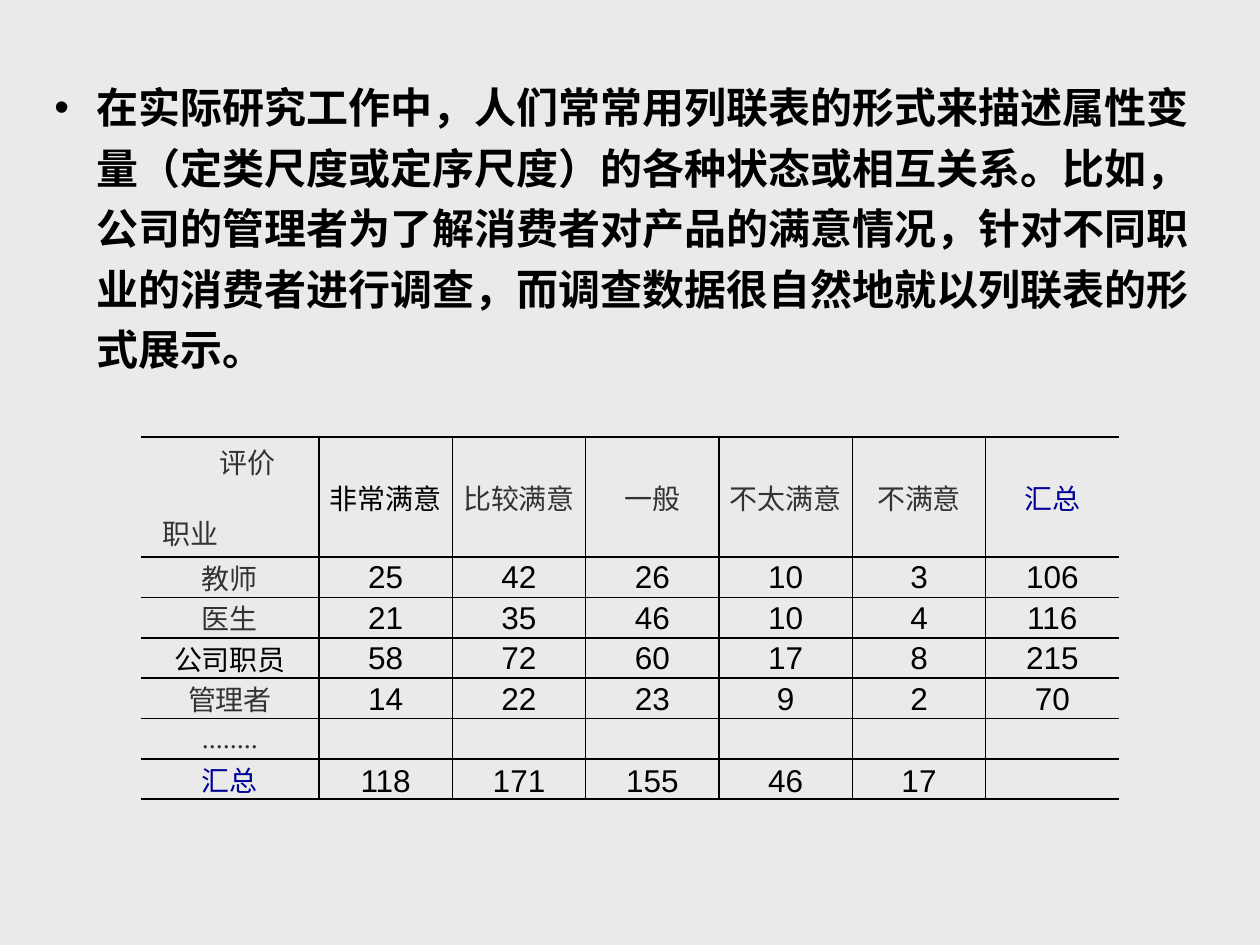
import pptx
import pptx.dml.color
import pptx.enum.text
import pptx.oxml
import pptx.oxml.ns
import pptx.util
from pptx.util import Cm, Pt

BACKGROUND = pptx.dml.color.RGBColor(0xEA, 0xEA, 0xEA)
BLACK = pptx.dml.color.RGBColor(0, 0, 0)
GRAY = pptx.dml.color.RGBColor(0x33, 0x33, 0x33)
BLUE = pptx.dml.color.RGBColor(0, 0, 0x99)

CHINESE_FONT = "Noto Sans CJK SC"
LABEL = {"name": "Times New Roman", "size": Pt(16), "bold": False}
TOTAL = {"name": CHINESE_FONT, "size": Pt(16), "bold": False}
NUMBER = {"name": "Arial", "size": Pt(18), "bold": False}
BODY = {"name": "Times New Roman", "size": Pt(24), "bold": True}

INTRODUCTION = (
    "在实际研究工作中，人们常常用列联表的形式来描述属性变量（定类尺度或定序尺度）"
    "的各种状态或相互关系。比如，公司的管理者为了解消费者对产品的满意情况，"
    "针对不同职业的消费者进行调查，而调查数据很自然地就以列联表的形式展示。"
)
CORNER = ("评价", "职业")
RATINGS = ("非常满意", "比较满意", "一般", "不太满意", "不满意", "汇总")
COUNTS = (
    ("教师", 25, 42, 26, 10, 3, 106),
    ("医生", 21, 35, 46, 10, 4, 116),
    ("公司职员", 58, 72, 60, 17, 8, 215),
    ("管理者", 14, 22, 23, 9, 2, 70),
    ("........", "", "", "", "", "", ""),
    ("汇总", 118, 171, 155, 46, 17, ""),
)
BLACK_LABELS = ("非常满意", "公司职员")


def set_attributes(target, values):
    """Set every attribute named in a dict of format values."""
    for name, value in values.items():
        setattr(target, name, value)


def write_text(paragraph, text, font, color):
    """Add one formatted run to a paragraph."""
    set_attributes(paragraph.font, font)
    if text == "":
        return
    run = paragraph.add_run()
    run.text = str(text)
    set_attributes(run.font, font)
    run.font.color.rgb = color
    properties = run._r.get_or_add_rPr()
    east_asian = properties.makeelement(
        pptx.oxml.ns.qn("a:ea"), {"typeface": CHINESE_FONT})
    properties.append(east_asian)


def set_indent(paragraph, left, first_line=0):
    """Set the left margin and first-line indent of a paragraph."""
    properties = paragraph._p.get_or_add_pPr()
    properties.set("marL", str(int(left)))
    properties.set("indent", str(int(first_line)))


def set_borders(cell, widths):
    """Draw black cell borders, with a width of zero for none."""
    properties = cell._tc.get_or_add_tcPr()
    namespace = pptx.oxml.ns.nsdecls("a")
    for position, (side, width) in enumerate(widths.items()):
        paint = (f'<a:solidFill><a:srgbClr val="{BLACK}"/></a:solidFill>'
                 if width else "<a:noFill/>")
        line = pptx.oxml.parse_xml(
            f'<a:ln{side} {namespace} w="{int(Pt(width))}">{paint}</a:ln{side}>')
        properties.insert(position, line)


def add_introduction(slide, left, top, width, height):
    """Place the bulleted introduction in the body placeholder."""
    body = slide.placeholders[1]
    set_attributes(body, {"left": left, "top": top,
                          "width": width, "height": height})
    frame = body.text_frame
    set_attributes(frame, {"word_wrap": True,
                           "auto_size": pptx.enum.text.MSO_AUTO_SIZE.NONE})
    paragraph = frame.paragraphs[0]
    set_indent(paragraph, Cm(0.86), -Cm(0.86))
    set_attributes(paragraph, {"line_spacing": 1.2, "space_before": Pt(0)})
    write_text(paragraph, INTRODUCTION, BODY, BLACK)


def fill_corner(cell):
    """Write the column and row captions in the corner cell."""
    rating, occupation = cell.text_frame.paragraphs[0], cell.text_frame.add_paragraph()
    set_indent(rating, Cm(1.41))
    set_indent(occupation, Cm(0.26))
    occupation.space_before = Pt(17.5)
    for paragraph, caption in zip((rating, occupation), CORNER):
        write_text(paragraph, caption, LABEL, GRAY)


def fill_cell(cell, value, is_label):
    """Write a centred label or count."""
    paragraph = cell.text_frame.paragraphs[0]
    paragraph.alignment = pptx.enum.text.PP_ALIGN.CENTER
    if not is_label:
        write_text(paragraph, value, NUMBER, BLACK)
    elif value == "汇总":
        write_text(paragraph, value, TOTAL, BLUE)
    else:
        write_text(paragraph, value, LABEL,
                   BLACK if value in BLACK_LABELS else GRAY)


def add_contingency_table(slide, left, top, width, height):
    """Build the table of occupations against ratings."""
    rows = (("",) + RATINGS,) + COUNTS
    last_row, last_column = len(rows) - 1, len(RATINGS)
    table = slide.shapes.add_table(
        len(rows), len(rows[0]), left, top, width, height).table
    set_attributes(table, {"first_row": False, "horz_banding": False})
    label_width, header_height = Cm(3.59), Cm(2.42)
    for index, column in enumerate(table.columns):
        column.width = int((width - label_width) / last_column) if index else label_width
    for index, row in enumerate(table.rows):
        row.height = int((height - header_height) / last_row) if index else header_height

    anchors = pptx.enum.text.MSO_ANCHOR
    for row_index, values in enumerate(rows):
        for column_index, value in enumerate(values):
            cell = table.cell(row_index, column_index)
            is_label = row_index == 0 or column_index == 0
            at_bottom = row_index == last_row and not is_label
            side_margin = Cm(0.18) if is_label else Cm(0.03)
            set_attributes(cell, {
                "margin_left": side_margin,
                "margin_right": side_margin,
                "margin_top": Cm(0) if is_label else Cm(0.03),
                "margin_bottom": Cm(0),
                "vertical_anchor": anchors.BOTTOM if at_bottom else anchors.MIDDLE,
            })
            cell.fill.background()
            set_borders(cell, {
                "L": 1 if column_index else 0,
                "R": 1 if column_index < last_column else 0,
                "T": 1 if row_index else 1.5,
                "B": 1 if row_index < last_row else 1.5,
            })
            if row_index == column_index == 0:
                fill_corner(cell)
            else:
                fill_cell(cell, value, is_label)


def main():
    """Build the slide and save the presentation."""
    presentation = pptx.Presentation()
    set_attributes(presentation, {"slide_width": Cm(25.4),
                                  "slide_height": Cm(19.05)})
    slide = presentation.slides.add_slide(presentation.slide_layouts[1])
    title = slide.shapes.title._element
    title.getparent().remove(title)
    slide.background.fill.solid()
    slide.background.fill.fore_color.rgb = BACKGROUND
    add_introduction(slide, Cm(0.84), Cm(1.32), Cm(23.72), Cm(9.19))
    add_contingency_table(slide, Cm(2.84), Cm(8.81), Cm(19.72), Cm(7.28))
    presentation.save("out.pptx")


if __name__ == "__main__":
    main()
